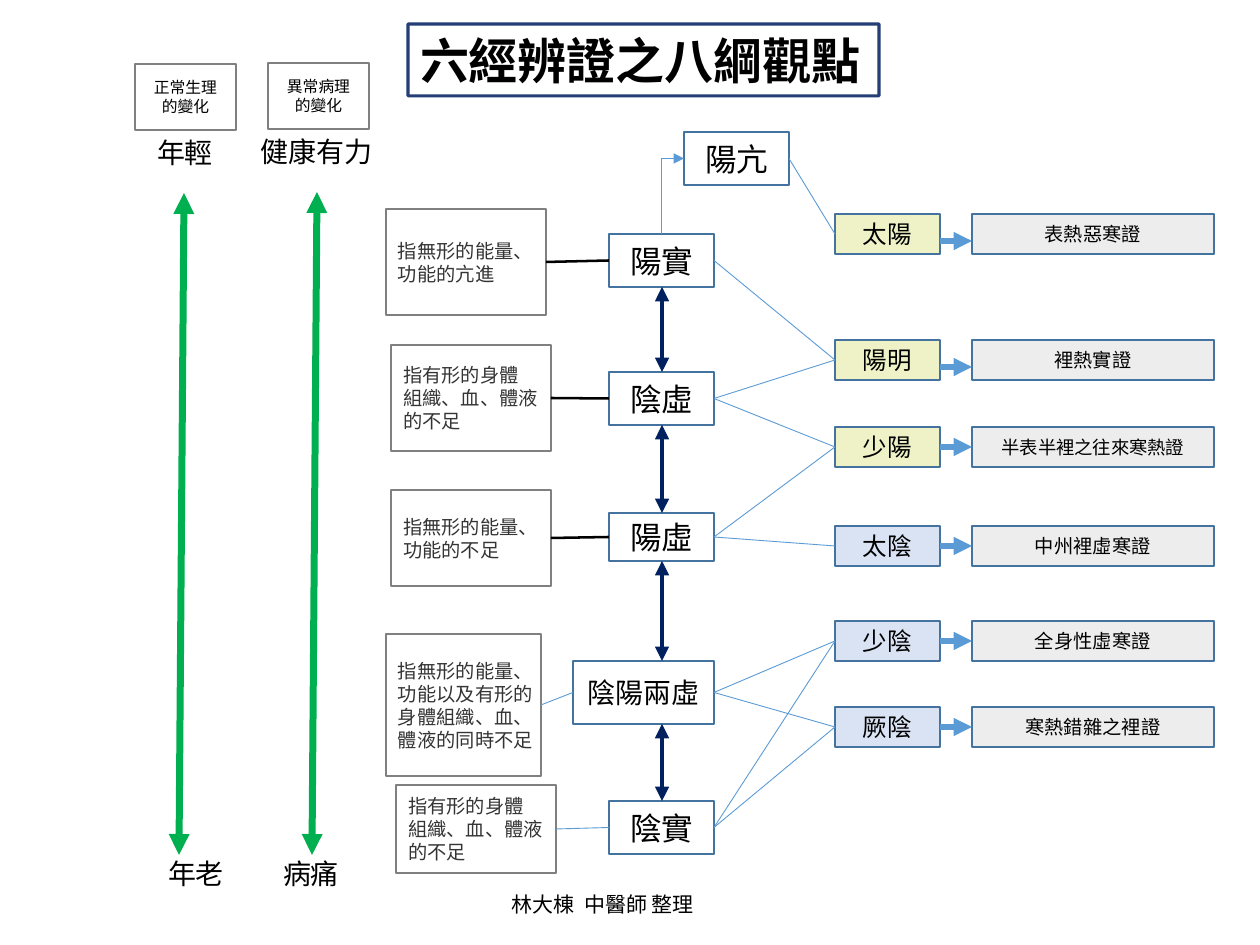
from lxml.etree import SubElement
from pptx import Presentation
from pptx.dml.color import RGBColor
from pptx.enum.shapes import MSO_CONNECTOR, MSO_SHAPE
from pptx.enum.text import MSO_ANCHOR, MSO_AUTO_SIZE, PP_ALIGN
from pptx.oxml.ns import qn
from pptx.util import Emu, Pt

COLORS = {
    "black": "000000", "note": "343434", "white": "FFFFFF", "gray": "808080",
    "edge": "43739E", "link": "5B9BD5", "navy": "002060", "green": "00B050",
    "yang": "EFF2C7", "yin": "DAE3F3", "syndrome": "EDEDED",
}
NODE = {"size": 18, "name": "Calibri", "color": "black"}
CHANNEL = {**NODE, "size": 14}
SYNDROME = {**NODE, "size": 11}
FOOTER = {**NODE, "size": 12}
NOTE = {"size": 11, "name": "Roboto", "color": "note"}
SCALE_HEAD = {"size": 9, "name": "Arial", "color": "black"}
SCALE_END = {**SCALE_HEAD, "size": 16}
TITLE = {**SCALE_HEAD, "size": 28, "bold": True}


def px(n):
    return Emu(round(n * 914400 / 126))


def rgb(key):
    return RGBColor.from_string(COLORS[key])


def write(sp, text, fmt, align=PP_ALIGN.CENTER, anchor=MSO_ANCHOR.MIDDLE, wrap=False):
    tf = sp.text_frame
    frame = {"text": text, "word_wrap": wrap, "vertical_anchor": anchor,
             "auto_size": MSO_AUTO_SIZE.NONE,
             "margin_left": px(12), "margin_right": px(12),
             "margin_top": px(6), "margin_bottom": px(6)}
    for key, value in frame.items():
        setattr(tf, key, value)
    values = {**fmt, "size": Pt(fmt["size"])}
    color = values.pop("color")
    for p in tf.paragraphs:
        p.alignment = align
        p.line_spacing = 1.0
        for r in p.runs:
            for key, value in values.items():
                setattr(r.font, key, value)
            r.font.color.rgb = rgb(color)


def add_box(s, box, text, fmt, fill=None, edge="edge", width=1, align=PP_ALIGN.CENTER):
    sp = s.shapes.add_shape(MSO_SHAPE.RECTANGLE, *map(px, box))
    sp.shadow.inherit = False
    if fill:
        sp.fill.solid()
        sp.fill.fore_color.rgb = rgb(fill)
    else:
        sp.fill.background()
    sp.line.color.rgb = rgb(edge)
    sp.line.width = Pt(width)
    write(sp, text, fmt, align)


def add_label(s, box, text, fmt, wrap=False):
    sp = s.shapes.add_textbox(*map(px, box))
    write(sp, text, fmt, PP_ALIGN.LEFT, MSO_ANCHOR.TOP, wrap)


def add_line(s, start, end, color="link", width=0.5, ends=(), kind=MSO_CONNECTOR.STRAIGHT):
    line = s.shapes.add_connector(kind, *map(px, (*start, *end)))
    line.line.color.rgb = rgb(color)
    line.line.width = Pt(width)
    ln = line.line._get_or_add_ln()
    for end_name in ends:
        SubElement(ln, qn(f"a:{end_name}"), type="triangle")
    SubElement(line._element.spPr, qn("a:effectLst"))
    return line


def left_mid(box):
    x, y, w, h = box
    return x, y + h / 2


def right_mid(box):
    x, y, w, h = box
    return x + w, y + h / 2


def add_title(s, box):
    sp = s.shapes.title
    for key, value in zip(("left", "top", "width", "height"), box):
        setattr(sp, key, px(value))
    sp.fill.solid()
    sp.fill.fore_color.rgb = rgb("white")
    sp.line.color.rgb = rgb("navy")
    sp.line.width = Pt(1.75)
    color = sp.line._get_or_add_ln().find(f".//{qn('a:srgbClr')}")
    SubElement(color, qn("a:alpha"), val="85000")
    write(sp, "六經辨證之八綱觀點", TITLE, PP_ALIGN.LEFT)


def add_scale(s, box, head, top, bottom):
    x, y, w, h = box
    add_box(s, (x, y, w, 66), head, SCALE_HEAD, "white", "gray", 1.45)
    for (text, dx), dy in ((top, 66), (bottom, h - 60)):
        add_label(s, (x + dx, y + dy, 25 + 28 * len(text), 60), text, SCALE_END)
    add_line(s, (x + 49, y + 129), (x + 44, y + h - 56), "green", 4,
             ("headEnd", "tailEnd"))


def add_patterns(s, box, patterns):
    x, y, w, h = box
    boxes = {}
    for name, dy, height, width, size in patterns:
        boxes[name] = (x + w - width, y + dy, width, height)
        add_box(s, boxes[name], name, {**NODE, "size": size})
    center = x + w - 52
    spine = list(boxes.values())
    for upper, lower in zip(spine, spine[1:]):
        add_line(s, (center, upper[1] + upper[3]), (center, lower[1]), "navy", 2.75,
                 ("headEnd", "tailEnd"))
    return boxes


def add_excess(s, box, base):
    add_box(s, box, "陽亢", NODE)
    x, y = left_mid(box)
    start_x, run, rise = base[0] + 52, x - base[0] - 52, base[1] - y
    cx, cy = start_x + run / 2, y + rise / 2
    line = add_line(s, (cx + rise / 2, cy + run / 2), (cx - rise / 2, cy - run / 2),
                    ends=("tailEnd",), kind=MSO_CONNECTOR.ELBOW)
    sp_pr = line._element.spPr
    sp_pr.find(qn("a:xfrm")).set("rot", "5400000")
    sp_pr.find(qn("a:prstGeom")).set("prst", "bentConnector2")


def add_notes(s, box, notes, nodes):
    x, y, w, h = box
    for (name, node), (text, dx, dy, width, height, color, weight) in zip(nodes.items(), notes):
        note = (x + dx, y + dy, width, height)
        add_box(s, note, text, NOTE, "white", "gray", 1.45, PP_ALIGN.LEFT)
        add_line(s, right_mid(note), left_mid(node), color, weight)


def add_channels(s, box, channels):
    x, y, w, h = box
    boxes = {}
    for name, syndrome, fill, dy, drop, size in channels:
        boxes[name] = (x, y + dy, 105, 40)
        add_box(s, boxes[name], name, CHANNEL, fill)
        add_box(s, (x + 137, y + dy, w - 137, 40), syndrome, {**SYNDROME, "size": size},
                "syndrome")
        mid = y + dy + 20 + drop
        add_line(s, (x + 105, mid), (x + 137, mid), "link", 3.5, ("tailEnd",))
    return boxes


def main():
    prs = Presentation()
    prs.slide_width, prs.slide_height = px(1260), px(945)
    s = prs.slides.add_slide(prs.slide_layouts[5])

    add_title(s, (408, 24, 471, 72))
    add_scale(s, (135, 64, 101, 847), "正常生理\n的變化", ("年輕", 10), ("年老", 21))
    add_scale(s, (268, 63, 101, 848), "異常病理\n的變化", ("健康有力", -19), ("病痛", 3))

    nodes = add_patterns(s, (573, 234, 141, 620), [
        ("陽實", 0, 53, 105, 18),
        ("陰虛", 138, 53, 105, 18),
        ("陽虛", 279, 48, 105, 18),
        ("陰陽兩虛", 427, 63, 141, 16),
        ("陰實", 567, 53, 105, 18),
    ])
    add_notes(s, (386, 209, 170, 664), [
        ("指無形的能量、\n功能的亢進", 0, 0, 160, 106, "black", 1.45),
        ("指有形的身體\n組織、血、體液\n的不足", 5, 136, 160, 106, "black", 1.45),
        ("指無形的能量、\n功能的不足", 5, 281, 160, 96, "black", 1.45),
        ("指無形的能量、\n功能以及有形的\n身體組織、血、\n體液的同時不足", 0, 425, 155, 142, "link", 0.5),
        ("指有形的身體\n組織、血、體液\n的不足", 10, 576, 160, 88, "link", 0.5),
    ], nodes)
    excess = (684, 132, 105, 53)
    add_excess(s, excess, nodes["陽實"])
    nodes["陽亢"] = excess

    channels = add_channels(s, (835, 214, 379, 533), [
        ("太陽", "表熱惡寒證", "yang", 0, 7, 11),
        ("陽明", "裡熱實證", "yang", 126, 7, 11),
        ("少陽", "半表半裡之往來寒熱證", "yang", 213, 0, 10.5),
        ("太陰", "中州裡虛寒證", "yin", 312, 0, 11),
        ("少陰", "全身性虛寒證", "yin", 407, 0, 11),
        ("厥陰", "寒熱錯雜之裡證", "yin", 493, 0, 11),
    ])
    links = {"陽亢": ["太陽"], "陽實": ["陽明"], "陰虛": ["陽明", "少陽"],
             "陽虛": ["少陽", "太陰"], "陰陽兩虛": ["少陰", "厥陰"],
             "陰實": ["少陰", "厥陰"]}
    for node, targets in links.items():
        for channel in targets:
            add_line(s, right_mid(nodes[node]), left_mid(channels[channel]))

    add_label(s, (500, 886, 247, 38), "林大棟  中醫師 整理", FOOTER, True)
    prs.save("out.pptx")


if __name__ == "__main__":
    main()
